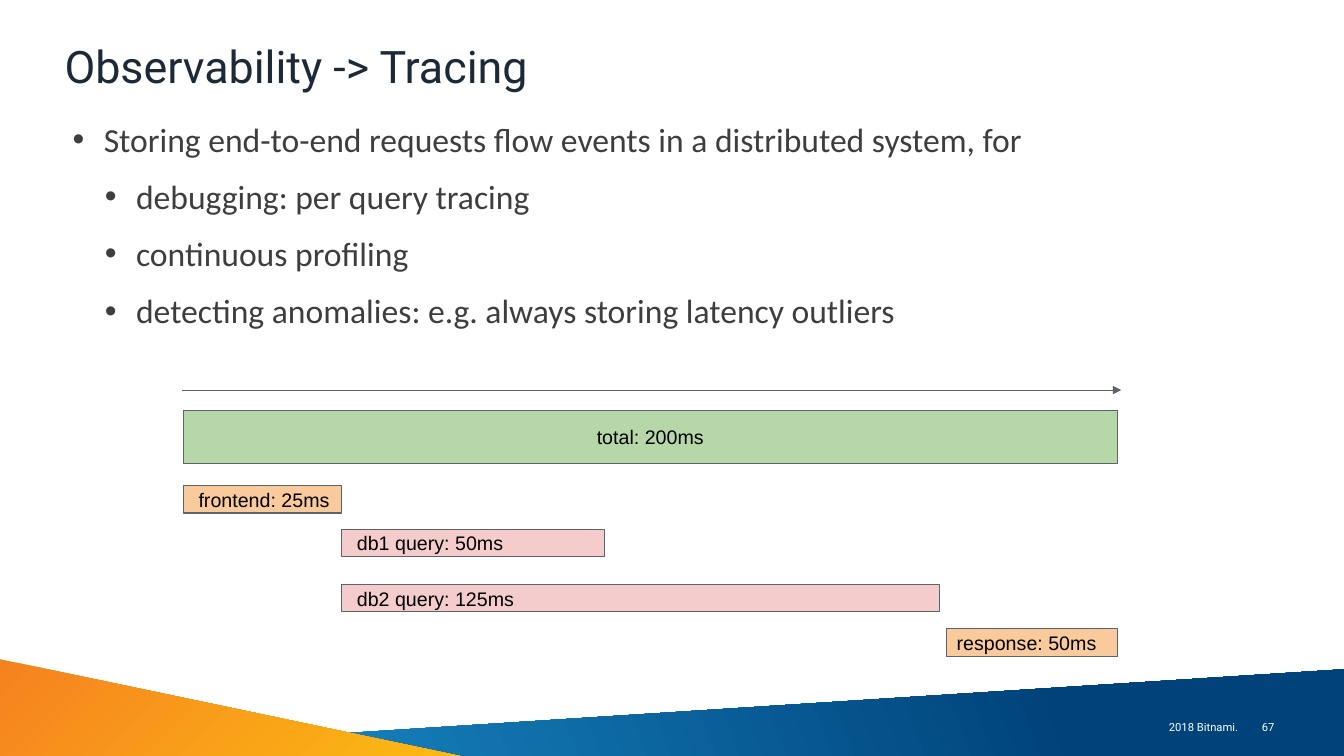
from lxml import etree
from pptx import Presentation
from pptx import util as u
from pptx.dml.color import RGBColor
from pptx.enum import shapes, text
from pptx.oxml import ns

WIDTH, HEIGHT = u.Inches(13.33), u.Inches(7.5)
GREY, GREEN, ORANGE, PINK = "5E6269", "B6D7A8", "F9CB9C", "F4CCCC"
BAR_HEIGHT = 3.6

# Trace spans: label, left, top, width, height (percent of slide), fill, left inset
SPANS = [
    ("total: 200ms", 13.65, 54.27, 69.47, 7.07, GREEN, None),
    ("frontend: 25ms", 13.65, 64.27, 11.78, BAR_HEIGHT, ORANGE, 0.15),
    ("db1 query: 50ms", 25.43, 70, 19.58, BAR_HEIGHT, PINK, 0.15),
    ("db2 query: 125ms", 25.43, 77.33, 44.49, BAR_HEIGHT, PINK, 0.15),
    ("response: 50ms", 70.44, 83.2, 12.68, BAR_HEIGHT, ORANGE, 0.1),
]
BULLETS = [
    (0, "Storing end-to-end requests flow events in a distributed system, for"),
    (1, "debugging: per query tracing"),
    (1, "continuous profiling"),
    (1, "detecting anomalies: e.g. always storing latency outliers"),
]


def color(hex_value):
    return RGBColor.from_string(hex_value)


def across(percent):
    return u.Emu(round(WIDTH * percent / 100))


def down(percent):
    return u.Emu(round(HEIGHT * percent / 100))


def box(left, top, width, height):
    return across(left), down(top), across(width), down(height)


def place(shape, left, top, width, height):
    shape.left, shape.top, shape.width, shape.height = box(left, top, width, height)


def style(paragraph, name, size, hex_value, align=text.PP_ALIGN.LEFT):
    paragraph.alignment = align
    for run in paragraph.runs:
        run.font.name, run.font.size = name, u.Pt(size)
        run.font.color.rgb = color(hex_value)


def add_wedge(slide, points, start, end, end_position, angle):
    corners = [(across(x), down(y)) for x, y in points]
    builder = slide.shapes.build_freeform(*corners[0])
    builder.add_line_segments(corners[1:], close=True)
    wedge = builder.convert_to_shape()
    wedge.shadow.inherit = False
    wedge.line.fill.background()
    wedge.fill.gradient()
    wedge.fill.gradient_angle = angle
    first, last = wedge.fill.gradient_stops
    first.color.rgb, first.position = color(start), 0
    last.color.rgb, last.position = color(end), end_position


def fill_title(title, words):
    place(title, 4.05, 4.67, 91.52, 8.93)
    frame = title.text_frame
    frame.text = words
    frame.auto_size = text.MSO_AUTO_SIZE.NONE
    frame.vertical_anchor = text.MSO_ANCHOR.MIDDLE
    frame.paragraphs[0].line_spacing = 0.9
    style(frame.paragraphs[0], "Roboto", 32, "1C2A38")


def add_bullet(paragraph, margin, hanging):
    properties = paragraph._p.get_or_add_pPr()
    properties.set("marL", str(u.Inches(margin)))
    properties.set("indent", str(-u.Inches(hanging)))
    bullet_color = etree.SubElement(properties, ns.qn("a:buClr"))
    etree.SubElement(bullet_color, ns.qn("a:srgbClr"), val="3E3E40")
    etree.SubElement(properties, ns.qn("a:buFont"), typeface="Arial")
    etree.SubElement(properties, ns.qn("a:buChar"), char="•")


def fill_body(body):
    place(body, 4.65, 15.07, 92.27, 72.53)
    frame = body.text_frame
    frame.text = "\n".join(words for _, words in BULLETS)
    frame.auto_size = text.MSO_AUTO_SIZE.NONE
    for index, (paragraph, (level, _)) in enumerate(zip(frame.paragraphs, BULLETS)):
        paragraph.level = level
        add_bullet(paragraph, *((0.31, 0.31), (0.63, 0.31))[level])
        paragraph.space_before = u.Pt(12 if index else 0)
        style(paragraph, "Calibri", 24, "3E3E40")


def add_span(slide, label, left, top, width, height, fill, inset):
    bar = slide.shapes.add_shape(shapes.MSO_SHAPE.RECTANGLE, *box(left, top, width, height))
    bar.shadow.inherit = False
    bar.fill.solid()
    bar.fill.fore_color.rgb = color(fill)
    bar.line.color.rgb, bar.line.width = color(GREY), u.Pt(0.75)
    frame = bar.text_frame
    frame.text = label
    frame.margin_top = frame.margin_bottom = 0
    frame.margin_right = u.Inches(0.1 if inset is None else 0)
    frame.margin_left = u.Inches(inset or 0.1)
    frame.vertical_anchor = text.MSO_ANCHOR.MIDDLE
    align = text.PP_ALIGN.CENTER if inset is None else text.PP_ALIGN.LEFT
    style(frame.paragraphs[0], "Arial", 14, "000000", align)


def add_time_arrow(slide, start, end, level):
    arrow = slide.shapes.add_connector(
        shapes.MSO_CONNECTOR.STRAIGHT, across(start), down(level), across(end), down(level))
    arrow.line.color.rgb, arrow.line.width = color(GREY), u.Pt(0.75)
    line = arrow.line._get_or_add_ln()
    etree.SubElement(line, ns.qn("a:tailEnd"), type="triangle")
    etree.SubElement(arrow._element.spPr, ns.qn("a:effectLst"))


def add_footer(slide, words, left, width):
    frame = slide.shapes.add_textbox(*box(left, 93.47, width, 5.33)).text_frame
    frame.text = words
    frame.word_wrap = True
    frame.vertical_anchor = text.MSO_ANCHOR.MIDDLE
    style(frame.paragraphs[0], "Roboto", 8, "FFFFFF", text.PP_ALIGN.RIGHT)


def main():
    presentation = Presentation()
    presentation.slide_width, presentation.slide_height = WIDTH, HEIGHT
    slide = presentation.slides.add_slide(presentation.slide_layouts[1])

    # Title and list
    fill_title(slide.shapes.title, "Observability -> Tracing")
    fill_body(slide.placeholders[1])

    # Coloured wedges along the bottom
    add_wedge(slide, [(100, 88.53), (0, 99.9), (0, 100), (100, 100)],
              "1F9BD8", "00427A", 0.79, 20)
    add_wedge(slide, [(0, 87.2), (34.21, 100), (0, 100)],
              "F58220", "FCBA12", 1, 315)

    # Footer
    add_footer(slide, "2018 Bitnami.", 59.11, 33.76)
    add_footer(slide, "67", 92.87, 2.7)

    # Trace timeline
    for span in SPANS:
        add_span(slide, *span)
    add_time_arrow(slide, 13.58, 83.42, 51.6)

    presentation.save("out.pptx")


if __name__ == "__main__":
    main()
